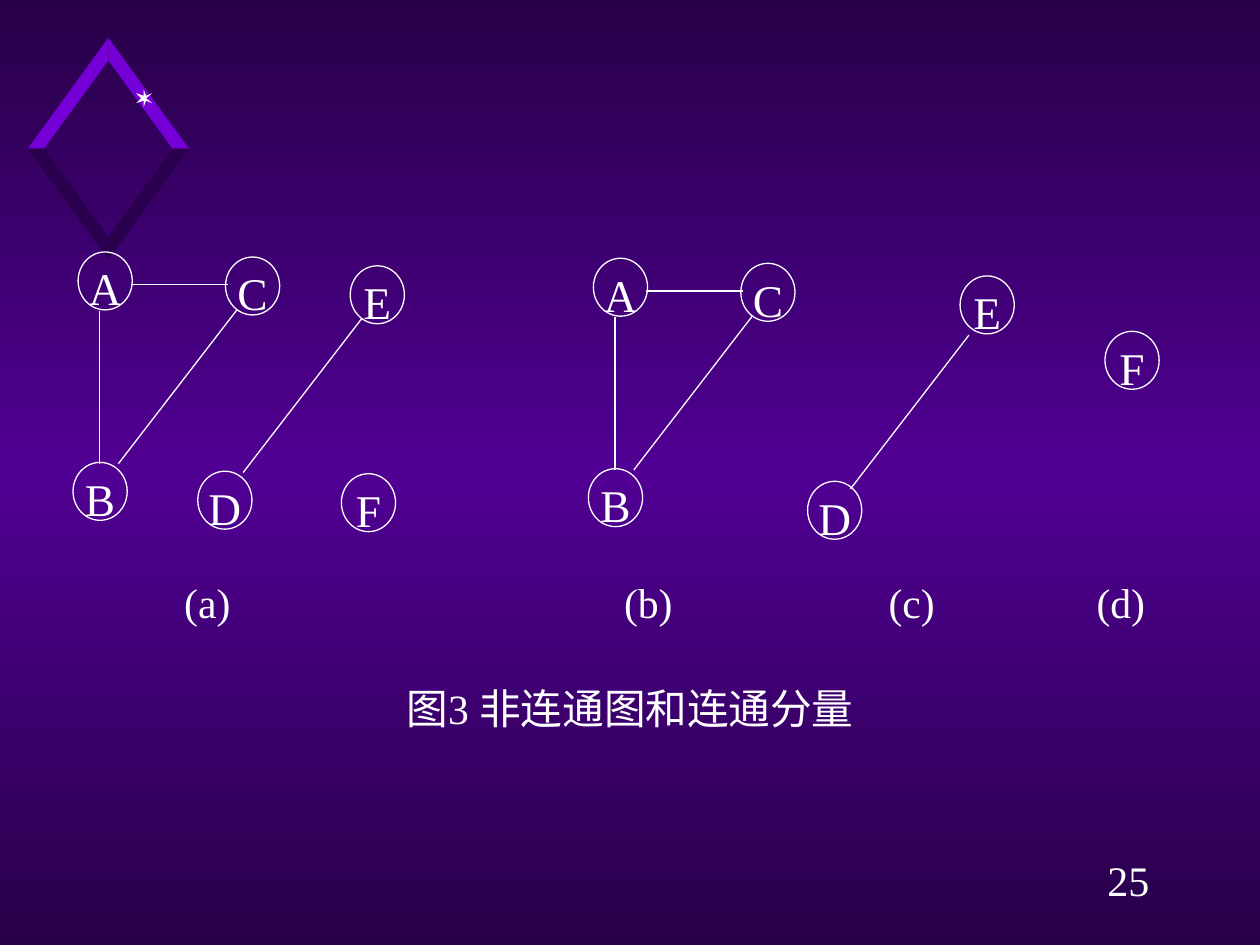
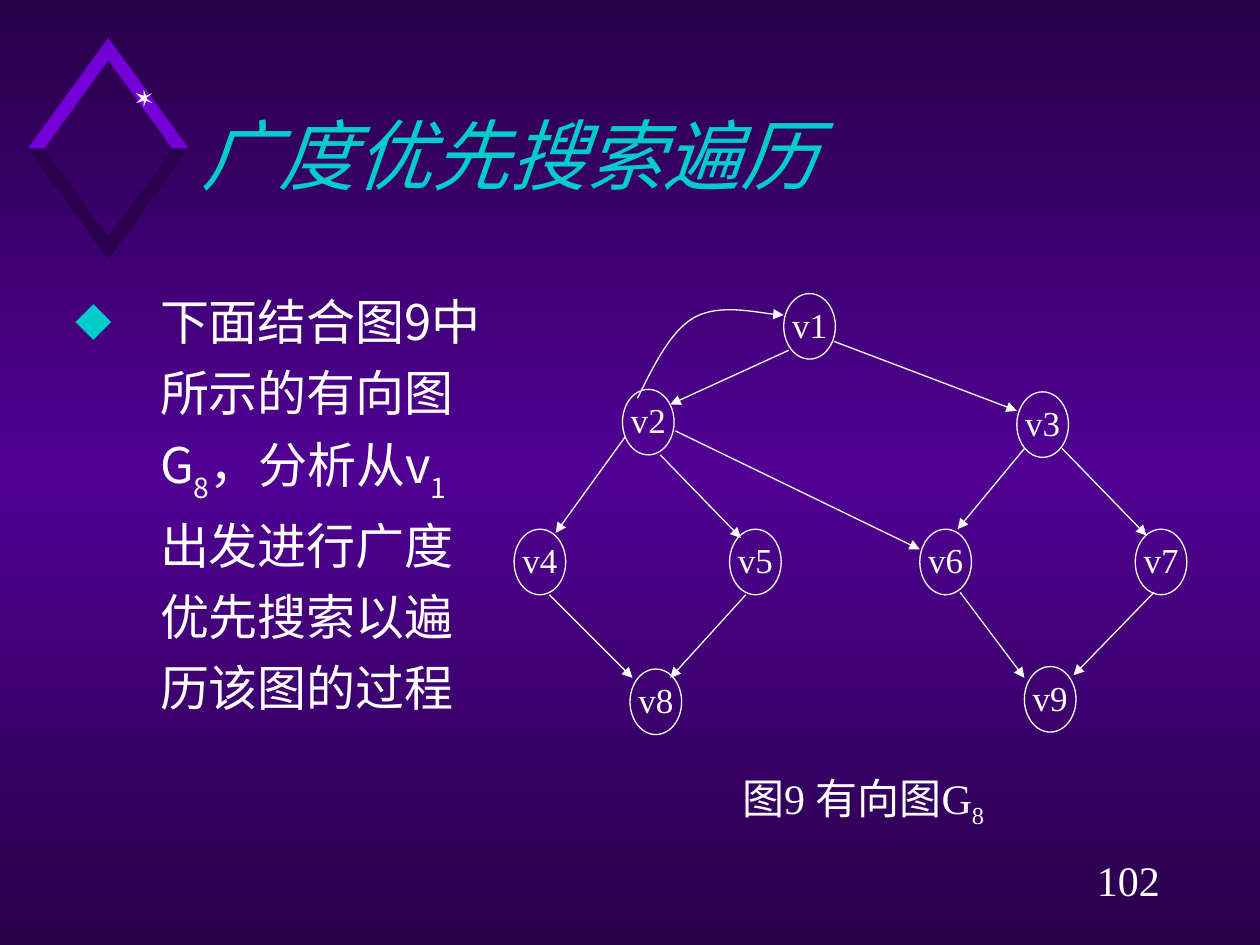
from copy import deepcopy
from dataclasses import dataclass, replace
from itertools import product
from math import cos, pi, sin

from lxml.etree import SubElement
from pptx import Presentation
from pptx.dml.color import RGBColor as Rgb
from pptx.enum.shapes import MSO_CONNECTOR as Connector, MSO_SHAPE as Preset
from pptx.enum.text import MSO_ANCHOR as Anchor, MSO_AUTO_SIZE as AutoSize, PP_ALIGN as Align
from pptx.oxml.ns import qn
from pptx.util import Pt

PX = 9144


@dataclass(frozen=True)
class TextStyle:
    size: float
    font: str = "Times New Roman"
    color: str = "FFFFFF"
    italic: bool = False


@dataclass(frozen=True)
class Theme:
    east_asian: str = "Noto Sans CJK SC"
    background: tuple = ((0, "280049"), (0.5, "500093"), (1, "280049"))
    diamond_top: str = "7500D7"
    diamond_bottom: str = "2A004E"
    sparkle: str = "F9F9F9"
    outline: str = "FFFFFF"
    accent: str = "00CCCC"
    outline_width: float = 0.75
    title: TextStyle = TextStyle(44, "Noto Sans CJK SC", "00CCCC", True)
    body: TextStyle = TextStyle(28, "Noto Sans CJK SC")
    caption: TextStyle = TextStyle(23.8)
    large: TextStyle = TextStyle(24)
    letter: TextStyle = TextStyle(25.9)
    vertex: TextStyle = TextStyle(20)


THEME = Theme()


@dataclass(frozen=True)
class Piece:
    text: str
    baseline: int = 0


@dataclass(frozen=True)
class Box:
    left: int
    top: int
    width: int
    height: int

    def emu(self) -> list[int]:
        return [length * PX for length in (self.left, self.top, self.width, self.height)]


@dataclass(frozen=True)
class Node:
    label: str
    left: int
    top: int

    def moved(self, dx: int, dy: int) -> "Node":
        return replace(self, left=self.left + dx, top=self.top + dy)


@dataclass(frozen=True)
class Edge:
    x1: int
    y1: int
    x2: int
    y2: int

    def moved(self, dx: int, dy: int) -> "Edge":
        return Edge(self.x1 + dx, self.y1 + dy, self.x2 + dx, self.y2 + dy)


TRIANGLE_NODES = [Node("A", 62, 200), Node("C", 179, 204), Node("B", 58, 367)]
TRIANGLE_EDGES = [Edge(104, 226, 181, 226), Edge(79, 368, 79, 247), Edge(188, 246, 94, 368)]
PAIR_NODES = [Node("E", 278, 211), Node("D", 157, 374)]
PAIR_EDGE = Edge(287, 253, 193, 375)
LONE_NODE = Node("F", 271, 376)
PART_LABELS = {"(a)": 104, "(b)": 454, "(c)": 663, "(d)": 829}

G8_NODES = [
    Node("v1", 622, 233), Node("v2", 494, 309), Node("v3", 807, 311),
    Node("v4", 408, 420), Node("v5", 579, 420), Node("v6", 730, 420),
    Node("v7", 901, 420), Node("v8", 500, 531), Node("v9", 813, 529),
]
G8_EDGES = [
    Edge(626, 278, 532, 321), Edge(496, 347, 441, 423), Edge(662, 271, 807, 326),
    Edge(536, 342, 730, 436), Edge(813, 356, 760, 420), Edge(843, 356, 910, 425),
    Edge(524, 361, 588, 427), Edge(436, 472, 502, 538), Edge(592, 472, 532, 538),
    Edge(762, 470, 813, 538), Edge(916, 470, 852, 536),
]
BACK_ARC = [(506, 316), (519, 290), (532, 263), (551, 252), (571, 241), (610, 250), (622, 250)]


def rgb(color: str) -> Rgb:
    return Rgb.from_string(color)


def write(paragraph, pieces: list[Piece], style: TextStyle) -> None:
    for piece in pieces:
        run = paragraph.add_run()
        run.text = piece.text
        run.font.size = Pt(style.size)
        run.font.italic = style.italic
        run.font.color.rgb = rgb(style.color)
        run.font.name = style.font
        properties = run._r.get_or_add_rPr()
        SubElement(properties, qn("a:ea"), typeface=THEME.east_asian)
        if piece.baseline:
            properties.set("baseline", str(piece.baseline * 1000))


def set_margins(frame, across: int, down: int) -> None:
    frame.margin_left = frame.margin_right = across * PX
    frame.margin_top = frame.margin_bottom = down * PX


def add_text(slide, box: Box, pieces: list[Piece], style: TextStyle, across: int = 0, down: int = 0) -> None:
    frame = slide.shapes.add_textbox(*box.emu()).text_frame
    frame.word_wrap = True
    set_margins(frame, across, down)
    frame.paragraphs[0].alignment = Align.CENTER
    write(frame.paragraphs[0], pieces, style)


def place(placeholder, box: Box):
    placeholder.left, placeholder.top, placeholder.width, placeholder.height = box.emu()
    frame = placeholder.text_frame
    frame.auto_size = AutoSize.NONE
    frame.word_wrap = True
    set_margins(frame, 10, 5)
    return frame


def stroke(shape, arrow: bool = False) -> None:
    shape.line.color.rgb = rgb(THEME.outline)
    shape.line.width = Pt(THEME.outline_width)
    if arrow:
        outline = shape._element.spPr.find(qn("a:ln"))
        SubElement(outline, qn("a:tailEnd"), type="triangle")


def add_node(slide, node: Node, width: int, height: int, style: TextStyle) -> None:
    circle = slide.shapes.add_shape(Preset.OVAL, *Box(node.left, node.top, width, height).emu())
    circle.shadow.inherit = False
    circle.fill.background()
    stroke(circle)
    frame = circle.text_frame
    frame.word_wrap = True
    frame.vertical_anchor = Anchor.TOP
    set_margins(frame, 0, 0)
    frame.paragraphs[0].alignment = Align.CENTER
    write(frame.paragraphs[0], [Piece(node.label)], style)


def add_edge(slide, edge: Edge, arrow: bool = False) -> None:
    ends = [length * PX for length in (edge.x1, edge.y1, edge.x2, edge.y2)]
    connector = slide.shapes.add_connector(Connector.STRAIGHT, *ends)
    stroke(connector, arrow)
    SubElement(connector._element.spPr, qn("a:effectLst"))


def add_outline(slide, points: list[tuple], close: bool = True):
    builder = slide.shapes.build_freeform(*points[0], scale=PX)
    builder.add_line_segments(points[1:], close=close)
    shape = builder.convert_to_shape()
    shape.shadow.inherit = False
    return shape


def add_filled(slide, points: list[tuple], color: str) -> None:
    shape = add_outline(slide, points)
    shape.fill.solid()
    shape.fill.fore_color.rgb = rgb(color)
    shape.line.fill.background()


def add_arc(slide, points: list[tuple]) -> None:
    arc = add_outline(slide, points, close=False)
    arc.fill.background()
    stroke(arc, arrow=True)
    track = arc._element.find(".//" + qn("a:path"))
    segments = track.findall(qn("a:lnTo"))
    for first in range(0, len(segments), 3):
        bend = SubElement(track, qn("a:cubicBezTo"))
        for segment in segments[first:first + 3]:
            bend.append(segment[0])
            track.remove(segment)


def add_diamond(slide) -> None:
    center_x, center_y = 86, 118
    for down, right in product((-1, 1), (1, -1)):
        band = [
            (center_x, center_y + down * 70), (center_x, center_y + down * 88),
            (center_x + right * 64, center_y), (center_x + right * 51, center_y),
        ]
        add_filled(slide, band, THEME.diamond_top if down < 0 else THEME.diamond_bottom)
    radii = [7 if corner % 2 == 0 else 2 for corner in range(12)]
    sparkle = [
        (114.5 + radius * sin(corner * pi / 6), 78 - radius * cos(corner * pi / 6))
        for corner, radius in enumerate(radii)
    ]
    add_filled(slide, sparkle, THEME.sparkle)


def set_background(master) -> None:
    fill = master.background.fill
    fill.gradient()
    fill.gradient_angle = 270
    stops = master.element.find(".//" + qn("p:bg")).find(".//" + qn("a:gsLst"))
    stops.append(deepcopy(stops[0]))
    for stop, (position, color) in zip(fill.gradient_stops, THEME.background):
        stop.position = position
        stop.color.rgb = rgb(color)


def add_page(deck, layout: int, number: str):
    slide = deck.slides.add_slide(deck.slide_layouts[layout])
    add_diamond(slide)
    add_text(slide, Box(858, 673, 75, 50), [Piece(number)], THEME.large, 10, 5)
    return slide


def add_components_slide(deck) -> None:
    slide = add_page(deck, 6, "25")
    nodes = TRIANGLE_NODES + PAIR_NODES + [LONE_NODE]
    nodes += [node.moved(409, 5) for node in TRIANGLE_NODES]
    nodes += [node.moved(484, 8) for node in PAIR_NODES]
    nodes.append(LONE_NODE.moved(606, -113))
    edges = TRIANGLE_EDGES + [PAIR_EDGE, PAIR_EDGE.moved(482, 13)]
    edges += [edge.moved(409, 5) for edge in TRIANGLE_EDGES]
    for node in nodes:
        add_node(slide, node, 43, 46, THEME.letter)
    for edge in edges:
        add_edge(slide, edge)
    for label, left in PART_LABELS.items():
        add_text(slide, Box(left, 458, 121, 41), [Piece(label)], THEME.caption)
    add_text(slide, Box(275, 542, 450, 42), [Piece("图3 非连通图和连通分量")], THEME.caption)


def add_traversal_slide(deck) -> None:
    slide = add_page(deck, 1, "102")
    heading = place(slide.shapes.title, Box(150, 52, 775, 140))
    heading.vertical_anchor = Anchor.MIDDLE
    heading.paragraphs[0].alignment = Align.LEFT
    write(heading.paragraphs[0], [Piece("广度优先搜索遍历")], THEME.title)

    task = place(slide.placeholders[1], Box(50, 217, 342, 450)).paragraphs[0]
    properties = task._p.get_or_add_pPr()
    properties.set("marL", str(67 * PX))
    properties.set("indent", str(-67 * PX))
    bullet_color = SubElement(properties, qn("a:buClr"))
    SubElement(bullet_color, qn("a:srgbClr"), val=THEME.accent)
    SubElement(properties, qn("a:buSzPct"), val="75000")
    SubElement(properties, qn("a:buFont"), typeface=THEME.east_asian)
    SubElement(properties, qn("a:buChar"), char="◆")
    task.line_spacing = 1.2
    task.space_before = Pt(0)
    write(task, [
        Piece("下面结合图9中所示的有向图G"), Piece("8", -30), Piece("，分析从v"),
        Piece("1", -30), Piece("出发进行广度优先搜索以遍历该图的过程"),
    ], THEME.body)

    for node in G8_NODES:
        add_node(slide, node, 41, 52, THEME.vertex)
    for edge in G8_EDGES:
        add_edge(slide, edge, arrow=True)
    add_arc(slide, BACK_ARC)
    add_text(slide, Box(550, 608, 270, 56), [Piece("图9 有向图G"), Piece("8", -25)], THEME.large, 10, 5)


def main() -> None:
    deck = Presentation()
    deck.slide_width, deck.slide_height = 1000 * PX, 750 * PX
    set_background(deck.slide_master)
    add_components_slide(deck)
    add_traversal_slide(deck)
    deck.save("out.pptx")


if __name__ == "__main__":
    main()
